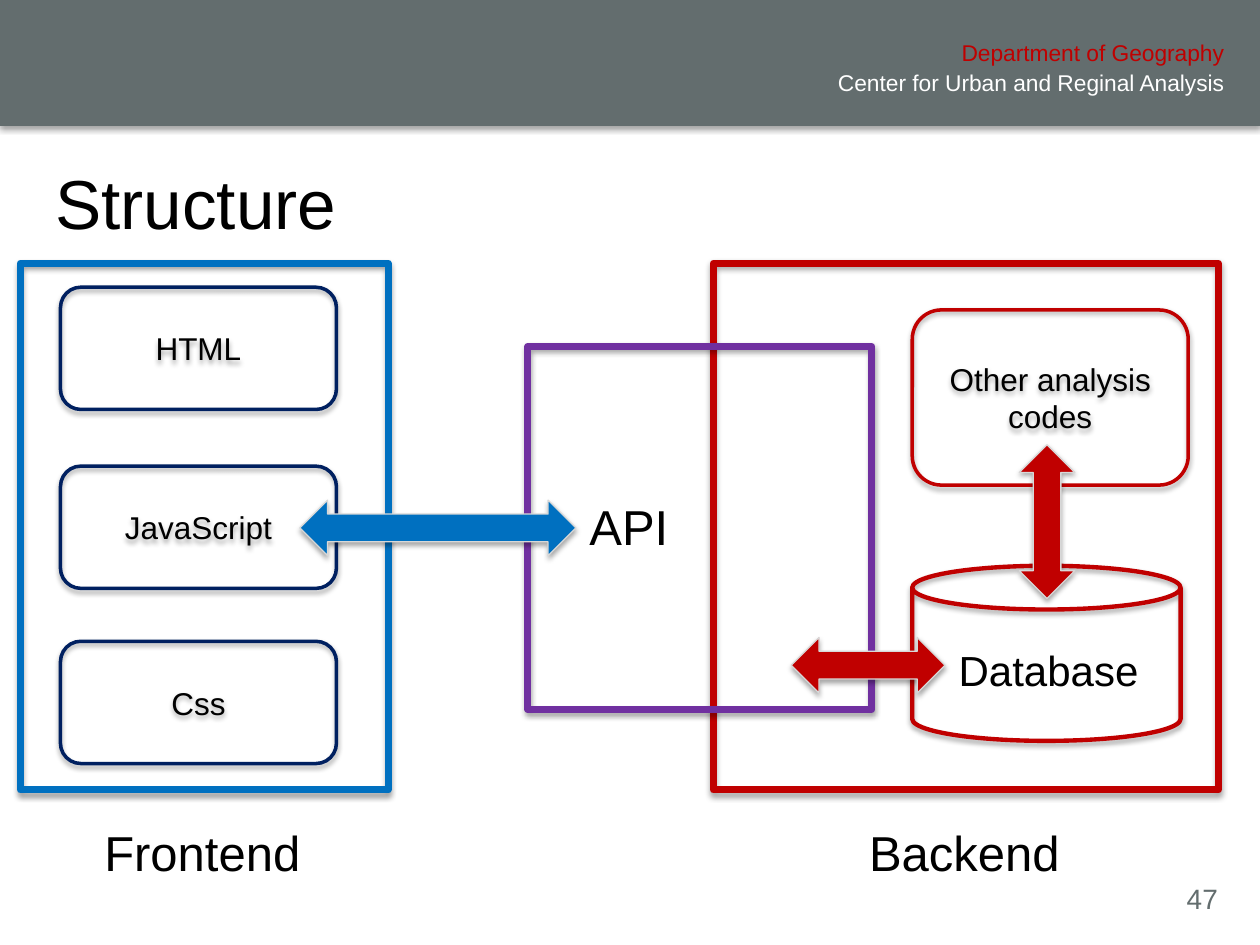
from lxml import etree
from pptx import Presentation
from pptx import util as u
from pptx.dml.color import RGBColor
from pptx.enum import shapes, text
from pptx.oxml.ns import qn

RED, BLUE, NAVY, PURPLE = "C00000", "0070C0", "002060", "7030A0"
GREY, PALE, WHITE, BLACK = "636D6E", "D8D8D8", "FFFFFF", "000000"
KIND = shapes.MSO_SHAPE
ALIGN = text.PP_ALIGN
ANCHOR = text.MSO_ANCHOR


def color(hex_value):
    return RGBColor.from_string(hex_value)


def write(tf, words, size=18, fill=BLACK, align=ALIGN.LEFT, anchor=ANCHOR.TOP, wrap=True):
    tf.word_wrap = wrap
    tf.vertical_anchor = anchor
    p = tf.paragraphs[0]
    p.alignment = align
    r = p.add_run()
    r.text = words
    r.font.name = "Arial"
    r.font.size = u.Pt(size)
    r.font.color.rgb = color(fill)


def add_shadow(s):
    """Soft shadow straight below the shape."""
    s.shadow.inherit = False
    effects = s._element.spPr.find(qn("a:effectLst"))
    outer = etree.SubElement(effects, qn("a:outerShdw"), blurRad=str(u.Pt(3.1)),
                             dist=str(u.Pt(1.8)), dir="5400000", rotWithShape="0")
    rgb = etree.SubElement(outer, qn("a:srgbClr"), val=BLACK)
    etree.SubElement(rgb, qn("a:alpha"), val="35000")


class Diagram:
    def __init__(self, prs):
        self.slide = prs.slides.add_slide(prs.slide_layouts[6])

    def shape(self, kind, x, y, w, h, fill=None, line=None, width=1):
        s = self.slide.shapes.add_shape(kind, *map(u.Inches, (x, y, w, h)))
        if fill:
            s.fill.solid()
            s.fill.fore_color.rgb = color(fill)
        else:
            s.fill.background()
        if line:
            s.line.color.rgb = color(line)
            s.line.width = u.Pt(width)
        else:
            s.line.fill.background()
        add_shadow(s)
        return s

    def frame(self, x, y, w, h, line):
        self.shape(KIND.RECTANGLE, x, y, w, h, line=line, width=4)

    def box(self, words, x, y, h, line):
        s = self.shape(KIND.ROUNDED_RECTANGLE, x, y, 2.19, h, line=line, width=2)
        write(s.text_frame, words, align=ALIGN.CENTER, anchor=ANCHOR.MIDDLE)

    def arrow(self, x, y, w, fill, rotation=0):
        s = self.shape(KIND.LEFT_RIGHT_ARROW, x, y, w, 0.44, fill, PALE, 0.75)
        s.rotation = rotation

    def label(self, words, x, y, w, h, **style):
        s = self.slide.shapes.add_textbox(*map(u.Inches, (x, y, w, h)))
        write(s.text_frame, words, **style)


def main():
    prs = Presentation()
    prs.slide_width, prs.slide_height = u.Inches(10), u.Inches(7.5)
    d = Diagram(prs)

    # Header band, slide number and title
    d.shape(KIND.RECTANGLE, 0, 0, 10, 1, fill=GREY)
    d.label("47", 9.32, 6.95, 0.48, 0.37, size=16, fill=GREY, wrap=False)
    for words, y, fill in (("Center for Urban and Reginal Analysis", 0.5, WHITE),
                           ("Department of Geography", 0.26, RED)):
        d.label(words, 6.22, y, 3.59, 0.32, size=13, fill=fill, align=ALIGN.RIGHT)
    d.label("Structure", 0.34, 1.32, 9.34, 0.56, size=39.6, anchor=ANCHOR.MIDDLE)

    # Backend, API and frontend frames
    d.frame(5.66, 2.09, 4.01, 4.18, RED)
    d.frame(4.19, 2.75, 2.73, 2.88, PURPLE)
    d.frame(0.16, 2.09, 2.92, 4.18, BLUE)

    # Data store
    d.shape(KIND.CAN, 7.24, 4.49, 2.13, 1.39, line=RED, width=2.5)
    d.label("Database", 7.51, 5.07, 1.7, 0.5, size=24, wrap=False)
    d.arrow(6.28, 5.06, 1.22, RED)

    # Frame names
    for words, x, y, w in (("API", 4.58, 3.89, 0.83),
                           ("Frontend", 0.73, 6.48, 1.78),
                           ("Backend", 6.8, 6.48, 1.73)):
        d.label(words, x, y, w, 0.57, size=28, wrap=False)

    # Components
    for words, y in (("HTML", 2.28), ("JavaScript", 3.7), ("Css", 5.09)):
        d.box(words, 0.48, y, 0.97, NAVY)
    d.box("Other analysis codes", 7.24, 2.46, 1.39, RED)

    # Links between components
    d.arrow(7.7, 3.92, 1.22, RED, rotation=270)
    d.arrow(2.38, 3.97, 2.19, BLUE)

    prs.save("out.pptx")


if __name__ == "__main__":
    main()
